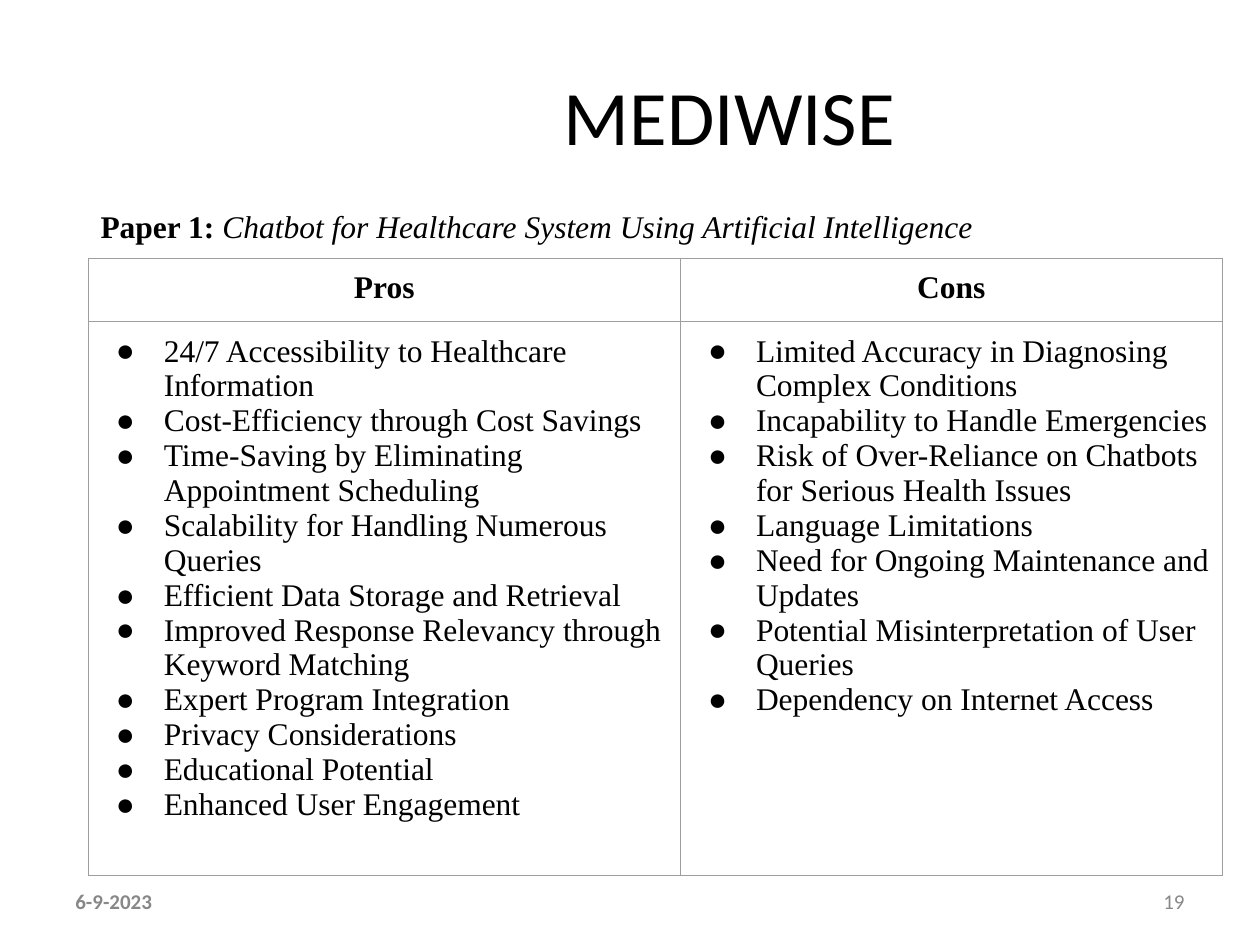
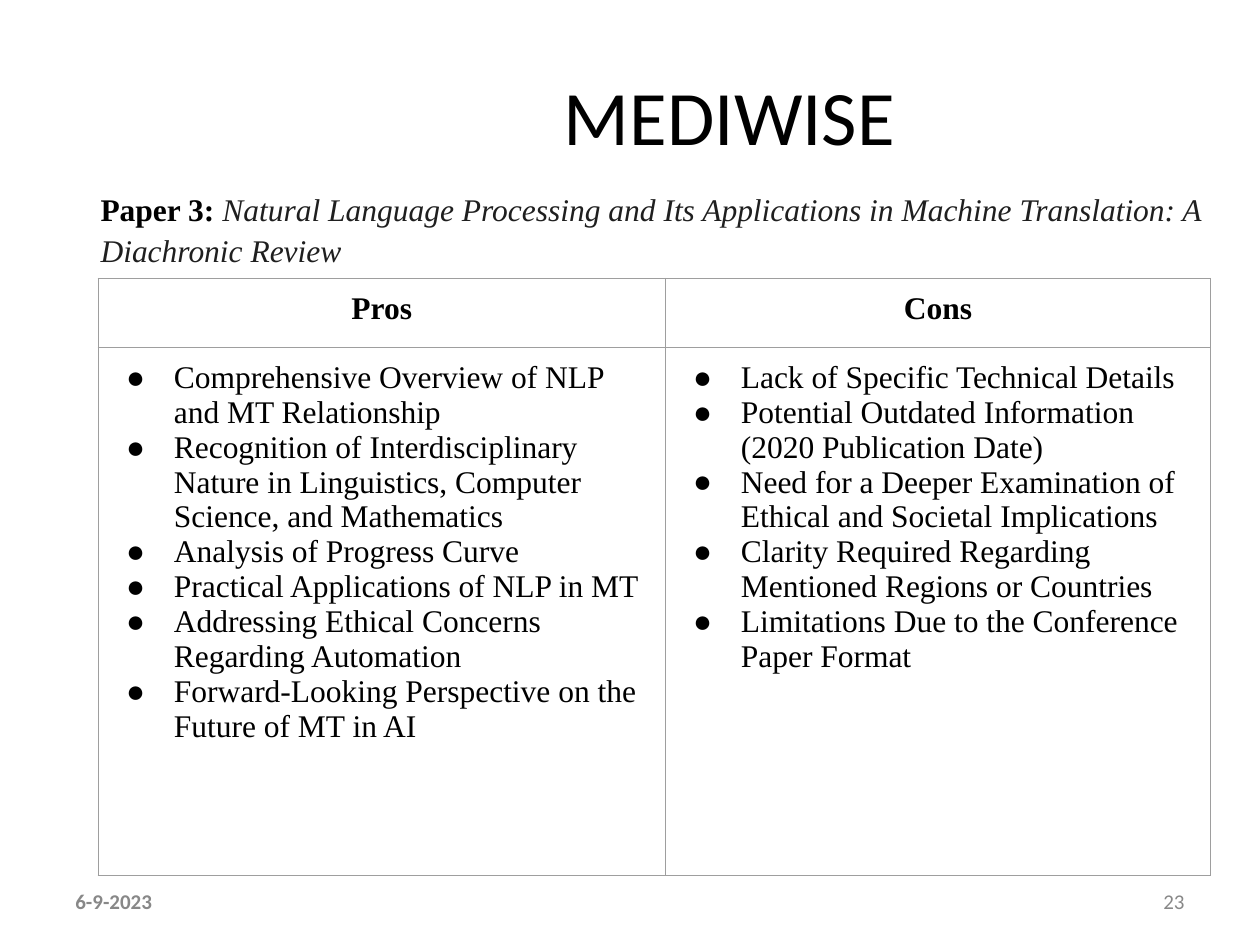
from lxml.etree import SubElement
from pptx import Presentation
from pptx.dml.color import RGBColor as RGB
from pptx.enum.text import MSO_ANCHOR as ANCHOR, PP_ALIGN as ALIGN
from pptx.oxml.ns import qn
from pptx.util import Inches, Pt

COLORS = {"text": "000000", "soft": "1F1F1F", "footer": "888888", "border": "9E9E9E"}
SANS, SERIF = "Calibri", "Times New Roman"

prs = Presentation()
prs.slide_width, prs.slide_height = Inches(10), Inches(7.5)
# Lengths are given in percent of the slide's width and height
W, H = prs.slide_width / 100, prs.slide_height / 100

PAPERS = [
    {
        "page": "19", "label": "Paper 1: ", "color": "text",
        "name": "Chatbot for Healthcare System Using Artificial Intelligence",
        "heading": (7, 20.27, 90, 26.53),
        "corner": (7, 27.33), "cols": (47, 43), "rows": (6.67, 58.67),
        "Pros": [
            "24/7 Accessibility to Healthcare Information",
            "Cost-Efficiency through Cost Savings",
            "Time-Saving by Eliminating Appointment Scheduling",
            "Scalability for Handling Numerous Queries",
            "Efficient Data Storage and Retrieval",
            "Improved Response Relevancy through Keyword Matching",
            "Expert Program Integration",
            "Privacy Considerations",
            "Educational Potential",
            "Enhanced User Engagement",
        ],
        "Cons": [
            "Limited Accuracy in Diagnosing Complex Conditions",
            "Incapability to Handle Emergencies",
            "Risk of Over-Reliance on Chatbots for Serious Health Issues",
            "Language Limitations",
            "Need for Ongoing Maintenance and Updates",
            "Potential Misinterpretation of User Queries",
            "Dependency on Internet Access",
        ],
    },
    {
        "page": "23", "label": "Paper 3: ", "color": "soft",
        "name": "Natural Language Processing and Its Applications in Machine "
                "Translation: A Diachronic Review",
        "heading": (7, 18.4, 90, 30.53),
        "corner": (7.8, 29.47), "cols": (45, 43.3), "rows": (7.33, 55.87),
        "Pros": [
            "Comprehensive Overview of NLP and MT Relationship",
            "Recognition of Interdisciplinary Nature in Linguistics, "
            "Computer Science, and Mathematics",
            "Analysis of Progress Curve",
            "Practical Applications of NLP in MT",
            "Addressing Ethical Concerns Regarding Automation",
            "Forward-Looking Perspective on the Future of MT in AI",
        ],
        "Cons": [
            "Lack of Specific Technical Details",
            "Potential Outdated Information (2020 Publication Date)",
            "Need for a Deeper Examination of Ethical and Societal Implications",
            "Clarity Required Regarding Mentioned Regions or Countries",
            "Limitations Due to the Conference Paper Format",
        ],
    },
]


def add_text(s, area, runs, align=ALIGN.LEFT, anchor=ANCHOR.TOP, pad=0.1):
    """Add a text box; each run is (text, font, size, colour, bold, italic)."""
    x, y, w, h = area
    tf = s.shapes.add_textbox(int(x * W), int(y * H), int(w * W), int(h * H)).text_frame
    tf.word_wrap = True
    tf.vertical_anchor = anchor
    tf.margin_left = tf.margin_right = Inches(0.1)
    tf.margin_top = tf.margin_bottom = Inches(pad)
    p = tf.paragraphs[0]
    p.alignment = align
    for text, *style in runs:
        r = p.add_run()
        r.text = text
        style_font(r.font, *style)
    return tf


def style_font(font, name, size, color, bold=False, italic=False):
    font.name, font.size, font.bold, font.italic = name, Pt(size), bold, italic
    font.color.rgb = RGB.from_string(COLORS[color])


for paper in PAPERS:
    s = prs.slides.add_slide(prs.slide_layouts[6])

    # Footer: date and page number
    add_text(s, (5, 92.67, 23.3, 5.33), [("6-9-2023", SANS, 12, "footer", True)],
             anchor=ANCHOR.MIDDLE, pad=0.05)
    add_text(s, (71.7, 92.67, 23.3, 5.33), [(paper["page"], SANS, 12, "footer")],
             ALIGN.RIGHT, ANCHOR.MIDDLE, 0.05)

    # Title, set slightly right of its box's centre
    tf = add_text(s, (40.8, 5.87, 32.8, 12.53), [("MEDIWISE", SANS, 44, "text")], ALIGN.CENTER)
    tf.margin_left = Inches(0.24)

    # Paper heading
    tf = add_text(s, paper["heading"], [
        (paper["label"], SERIF, 18, "text", True),
        (paper["name"], SERIF, 18, paper["color"], False, True),
    ])
    tf.paragraphs[0].line_spacing = 1.09

    # Pros and cons table
    x, y = paper["corner"]
    cols, rows = paper["cols"], paper["rows"]
    table = s.shapes.add_table(2, 2, int(x * W), int(y * H),
                               int(sum(cols) * W), int(sum(rows) * H)).table
    table.first_row = table.horz_banding = False
    for i in range(2):
        table.columns[i].width = int(cols[i] * W)
        table.rows[i].height = int(rows[i] * H)

    for col, side in enumerate(("Pros", "Cons")):
        for row, lines in enumerate(([side], paper[side])):
            cell = table.cell(row, col)
            cell.margin_left = cell.margin_right = Inches(0.1)
            cell.margin_top = cell.margin_bottom = Inches(0.1)

            # Borders come before the fill in the cell's properties
            tc_pr = cell._tc.get_or_add_tcPr()
            for edge in ("a:lnL", "a:lnR", "a:lnT", "a:lnB"):
                ln = SubElement(tc_pr, qn(edge), w=str(Pt(0.75)))
                fill = SubElement(ln, qn("a:solidFill"))
                SubElement(fill, qn("a:srgbClr"), val=COLORS["border"])
            cell.fill.background()

            cell.text_frame.text = "\n".join(lines)
            for p in cell.text_frame.paragraphs:
                style_font(p.runs[0].font, SERIF, 18, "text", bold=row == 0)
                if row == 0:
                    p.alignment = ALIGN.CENTER
                    continue
                p_pr = p._p.get_or_add_pPr()
                p_pr.set("marL", str(Inches(0.5)))
                p_pr.set("indent", str(Inches(-0.38)))
                bullet_color = SubElement(p_pr, qn("a:buClr"))
                SubElement(bullet_color, qn("a:srgbClr"), val=COLORS["text"])
                SubElement(p_pr, qn("a:buFont"), typeface=SERIF)
                SubElement(p_pr, qn("a:buChar"), char="●")

prs.save("out.pptx")
